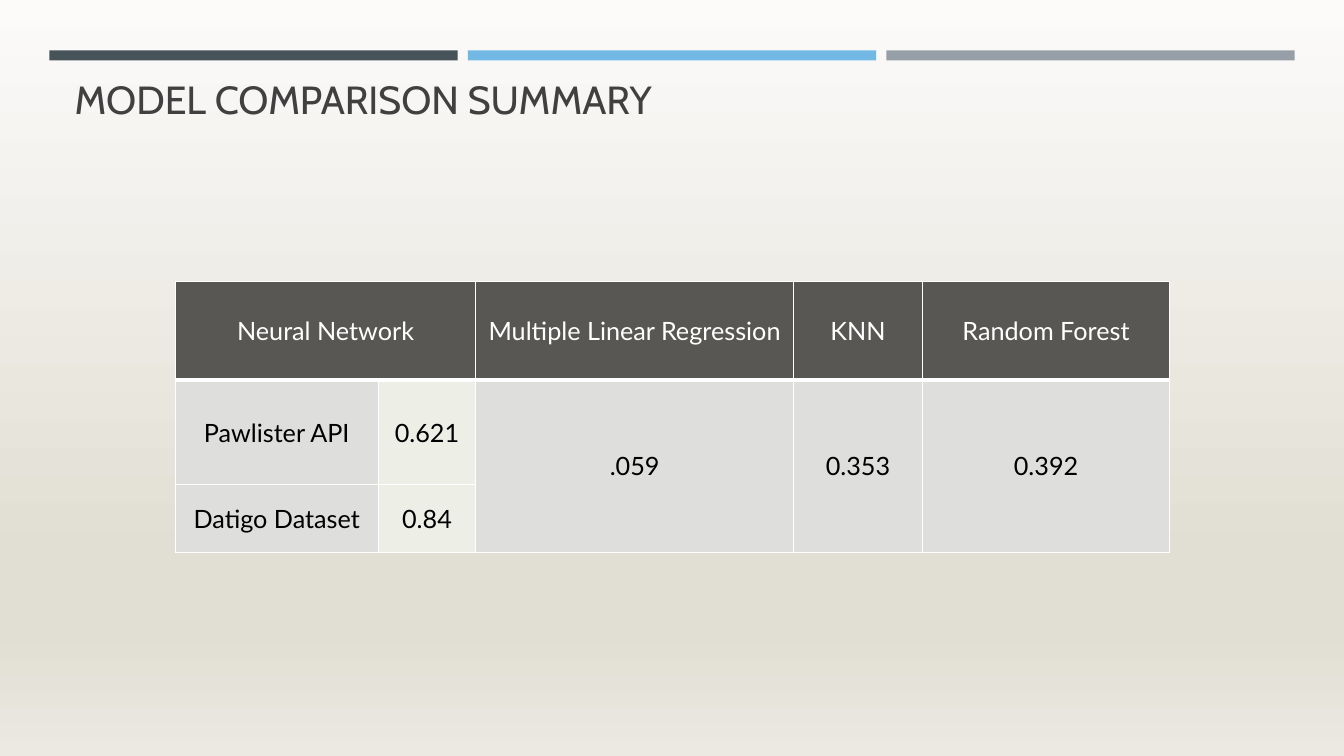
import copy
import pptx
import pptx.util
import pptx.dml.color
import pptx.enum.shapes
import pptx.enum.text
import pptx.oxml
import pptx.oxml.ns
import lxml.etree

Inches = pptx.util.Inches
Pt = pptx.util.Pt
RGBColor = pptx.dml.color.RGBColor
qn = pptx.oxml.ns.qn

WHITE = RGBColor(0xFF, 0xFF, 0xFF)
BLACK = RGBColor(0x00, 0x00, 0x00)
INK = RGBColor(0x40, 0x40, 0x40)
HEAD = RGBColor(0x58, 0x57, 0x53)
BODY = RGBColor(0xDE, 0xDE, 0xDC)
PALE = RGBColor(0xED, 0xEE, 0xE6)
BARS = [RGBColor(0x46, 0x53, 0x59), RGBColor(0x71, 0xB9, 0xE4), RGBColor(0x96, 0x9F, 0xA7)]
STOPS = [
    (0, RGBColor(0xFC, 0xFB, 0xFA)),
    (0.74, RGBColor(0xE1, 0xDE, 0xD3)),
    (0.83, RGBColor(0xE1, 0xDE, 0xD3)),
    (1, RGBColor(0xEB, 0xE9, 0xE2)),
]

COLS = [2.01, 0.97, 3.15, 1.28, 2.45]
ROWS = [0.98, 1.04, 0.67]
CELLS = [
    ["Neural Network", None, "Multiple Linear Regression", "KNN", "Random Forest"],
    ["Pawlister API", "0.621", ".059", "0.353", "0.392"],
    ["Datigo Dataset", "0.84", None, None, None],
]
SPANS = [((0, 0), (0, 1))] + [((1, col), (2, col)) for col in (2, 3, 4)]


def paint_back(slide):
    fill = slide.background.fill
    fill.gradient()
    fill.gradient_angle = 270
    stops = slide.element.find(".//" + qn("a:gsLst"))
    while len(stops) < len(STOPS):
        stops.append(copy.deepcopy(stops[0]))
    for stop, (place, color) in zip(fill.gradient_stops, STOPS):
        stop.position = place
        stop.color.rgb = color


def add_run(para, text, font, size, color):
    run = para.add_run()
    run.text = text
    run.font.name = font
    run.font.size = Pt(size)
    run.font.bold = False
    run.font.color.rgb = color


def add_bars(slide, left, top, width, height, gap):
    span = (width - gap * (len(BARS) - 1)) / len(BARS)
    for i, color in enumerate(BARS):
        bar = slide.shapes.add_shape(
            pptx.enum.shapes.MSO_SHAPE.RECTANGLE,
            Inches(left + i * (span + gap)), Inches(top), Inches(span), Inches(height))
        bar.shadow.inherit = False
        bar.fill.solid()
        bar.fill.fore_color.rgb = color
        bar.line.fill.background()


def add_title(slide, left, top, width, height):
    title = slide.shapes.title
    title.left, title.top = Inches(left), Inches(top)
    title.width, title.height = Inches(width), Inches(height)
    frame = title.text_frame
    frame.word_wrap = True
    frame.auto_size = pptx.enum.text.MSO_AUTO_SIZE.NONE
    frame.vertical_anchor = pptx.enum.text.MSO_ANCHOR.BOTTOM
    para = frame.paragraphs[0]
    para.alignment = pptx.enum.text.PP_ALIGN.LEFT
    add_run(para, "MODEL COMPARISON SUMMARY", "Cabin", 28, INK)


def set_edges(cell, base):
    props = cell._tc.get_or_add_tcPr()
    for i, (side, size) in enumerate([("L", 1), ("R", 1), ("T", 1), ("B", base)]):
        edge = lxml.etree.Element(qn("a:ln" + side), w=str(Pt(size)))
        solid = lxml.etree.SubElement(edge, qn("a:solidFill"))
        lxml.etree.SubElement(solid, qn("a:srgbClr"), val=str(WHITE))
        props.insert(i, edge)


def add_grid(slide, left, top, width, height):
    grid = slide.shapes.add_table(
        len(ROWS), len(COLS), Inches(left), Inches(top), Inches(width), Inches(height)).table
    for col, size in zip(grid.columns, COLS):
        col.width = Inches(size * width / sum(COLS))
    for row, size in zip(grid.rows, ROWS):
        row.height = Inches(size * height / sum(ROWS))
    for first, last in SPANS:
        grid.cell(*first).merge(grid.cell(*last))
    for r, texts in enumerate(CELLS):
        for c, text in enumerate(texts):
            cell = grid.cell(r, c)
            cell.fill.solid()
            cell.fill.fore_color.rgb = HEAD if r == 0 else PALE if c == 1 else BODY
            set_edges(cell, 3 if r == 0 else 1)
            if text:
                cell.vertical_anchor = pptx.enum.text.MSO_ANCHOR.MIDDLE
                para = cell.text_frame.paragraphs[0]
                para.alignment = pptx.enum.text.PP_ALIGN.CENTER
                add_run(para, text, "Lato", 18, BLACK if r else WHITE)


def main():
    deck = pptx.Presentation()
    deck.slide_width, deck.slide_height = Inches(13.33), Inches(7.5)
    slide = deck.slides.add_slide(deck.slide_layouts[5])
    paint_back(slide)
    add_bars(slide, 0.49, 0.5, 12.35, 0.1, 0.1)
    add_title(slide, 0.64, 0.18, 12.06, 1.08)
    add_grid(slide, 1.74, 2.79, 9.86, 2.69)
    deck.save("out.pptx")


if __name__ == "__main__":
    main()
